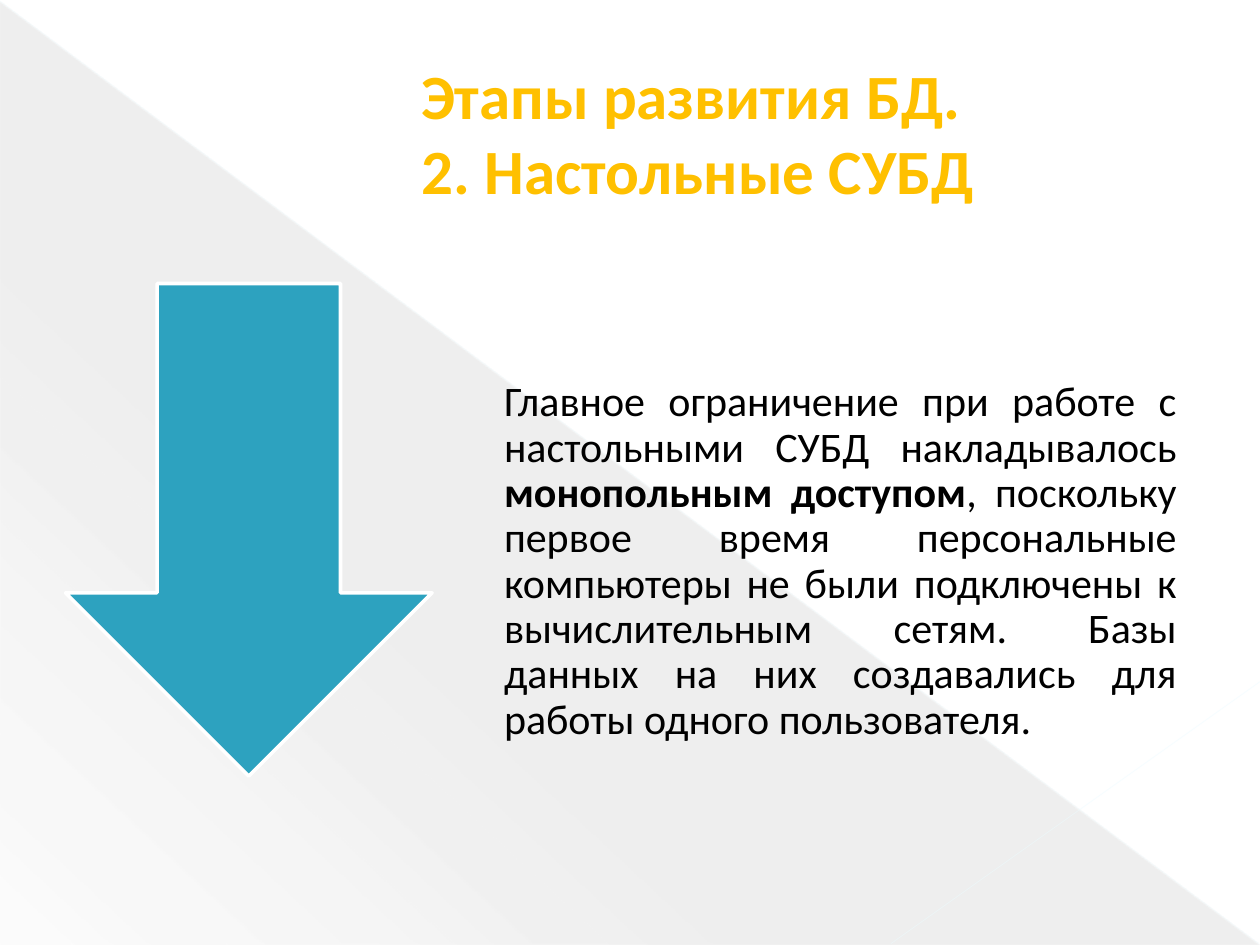
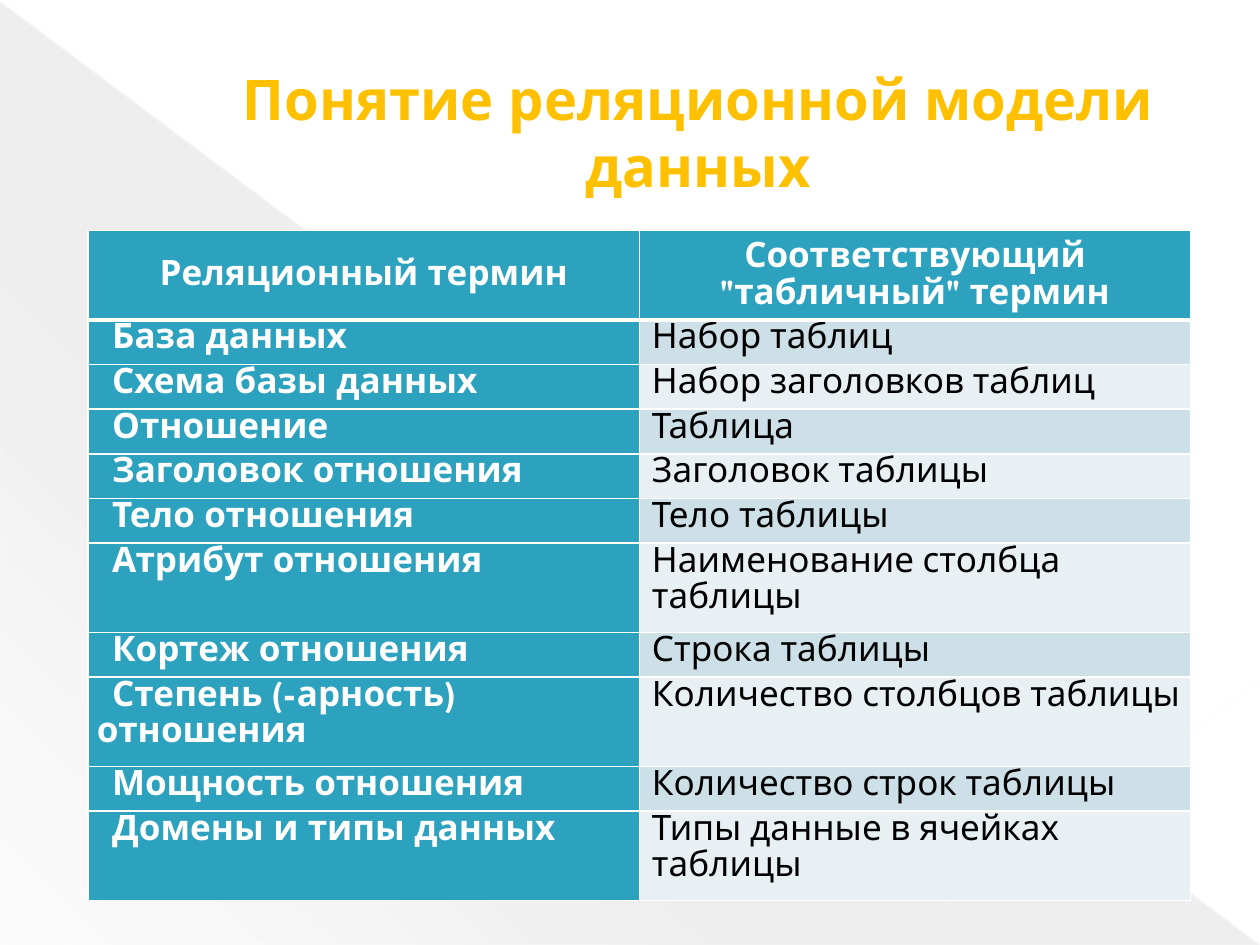
from lxml.etree import SubElement
from pptx import Presentation
from pptx.dml.color import RGBColor
from pptx.enum.shapes import MSO_CONNECTOR, MSO_SHAPE
from pptx.enum.text import MSO_ANCHOR, PP_ALIGN
from pptx.oxml import parse_xml
from pptx.oxml.ns import nsdecls, qn
from pptx.util import Emu, Inches, Pt

WIDTH, HEIGHT = 10, 7.5
GOLD = RGBColor(0xFF, 0xC0, 0x00)
TEAL = RGBColor(0x2D, 0xA2, 0xBF)
WHITE = RGBColor(0xFF, 0xFF, 0xFF)
BLACK = RGBColor(0x00, 0x00, 0x00)
BANDS = (RGBColor(0xCD, 0xE0, 0xE8), RGBColor(0xE8, 0xF0, 0xF4))
SHADE = RGBColor(0x46, 0x46, 0x46)
OUTLINE = RGBColor(0x40, 0x40, 0x40)
SHADE_STOPS = ((0, 10), (70, 8), (100, 1))
SHADE_ANGLE = 133
BACK_LINES = (
    ((0, 0.01), (9.99, 7.49), RGBColor(0xEB, 0xFB, 0xFF), 0.39, 35),
    ((10, 5.41), (7.07, 7.49), RGBColor(0xED, 0xFC, 0xFF), 0.47, 45),
)

BODY_FONT, TABLE_FONT = "Calibri", "League Spartan"
TITLE_AREA = (0.98, 0.36, 8.59, 1.37)
ARROW_AREA = (0.52, 2.25, 2.91, 3.91)
BODY_AREA = (3.81, 2.02, 5.72, 4.88)
TABLE_AREA = (0.7, 1.83, 8.75, 5.32)

STAGES_TITLE = "Этапы развития БД. \v2. Настольные СУБД"
LIMITATION = (
    ("Главное ограничение при работе с настольными СУБД накладывалось ", False),
    ("монопольным доступом", True),
    (", поскольку первое время персональные компьютеры не были подключены "
     "к вычислительным сетям. Базы данных на них создавались для работы "
     "одного пользователя.", False),
)
MODEL_TITLE = "Понятие реляционной модели данных"
TERMS = (
    ("Реляционный термин", 'Соответствующий "табличный" термин', 2),
    ("База данных", "Набор таблиц", 1),
    ("Схема базы данных", "Набор заголовков таблиц", 1),
    ("Отношение", "Таблица", 1),
    ("Заголовок отношения", "Заголовок таблицы", 1),
    ("Тело отношения", "Тело таблицы", 1),
    ("Атрибут отношения", "Наименование столбца таблицы", 2),
    ("Кортеж отношения", "Строка таблицы", 1),
    ("Степень (-арность) отношения", "Количество столбцов таблицы", 2),
    ("Мощность отношения", "Количество строк таблицы", 1),
    ("Домены и типы данных", "Типы данные в ячейках таблицы", 2),
)


def inches(values):
    return [Inches(value) for value in values]


def solid(parent, color, opacity=100):
    fill = SubElement(parent, qn("a:solidFill"))
    tint = SubElement(fill, qn("a:srgbClr"), val=str(color))
    if opacity < 100:
        SubElement(tint, qn("a:alpha"), val=str(opacity * 1000))


def write(frame, text, *, font, size, color, bold=False, align=PP_ALIGN.LEFT,
          spacing=None, left=0, first=0, outline=None):
    para = frame.paragraphs[0]
    para.alignment = align
    if spacing:
        para.line_spacing = spacing
    properties = para._p.get_or_add_pPr()
    properties.set("marL", str(Inches(left)))
    properties.set("indent", str(Inches(first)))
    parts = ((text, bold),) if isinstance(text, str) else text
    for words, strong in parts:
        for index, line in enumerate(words.split("\v")):
            if index:
                para.add_line_break()
            span = para.add_run()
            span.text = line
            span.font.name, span.font.size = font, Pt(size)
            span.font.bold = strong
            span.font.color.rgb = color
            if outline:
                edge = parse_xml(f'<a:ln {nsdecls("a")} w="{Pt(0.5)}"/>')
                solid(edge, outline)
                span._r.get_or_add_rPr().insert(0, edge)


def add_text(page, area, text, inset=None, **style):
    frame = page.shapes.add_textbox(*inches(area)).text_frame
    frame.word_wrap = True
    frame.vertical_anchor = MSO_ANCHOR.MIDDLE
    if inset:
        frame.margin_left = frame.margin_right = Inches(inset)
        frame.margin_top = frame.margin_bottom = Inches(inset)
    write(frame, text, **style)


def add_page(deck, title, font, size):
    page = deck.slides.add_slide(deck.slide_layouts[6])
    corner = page.shapes.add_shape(
        MSO_SHAPE.RIGHT_TRIANGLE, *inches((0, 0.01, WIDTH, HEIGHT - 0.01)))
    corner.shadow.inherit = False
    corner.line.fill.background()
    stops = "".join(
        f'<a:gs pos="{place * 1000}"><a:srgbClr val="{SHADE}">'
        f'<a:alpha val="{opacity * 1000}"/></a:srgbClr></a:gs>'
        for place, opacity in SHADE_STOPS)
    corner._element.spPr.find(qn("a:prstGeom")).addnext(parse_xml(
        f'<a:gradFill {nsdecls("a")} rotWithShape="1"><a:gsLst>{stops}</a:gsLst>'
        f'<a:lin ang="{SHADE_ANGLE * 60000}" scaled="0"/></a:gradFill>'))
    for start, end, color, width, opacity in BACK_LINES:
        line = page.shapes.add_connector(
            MSO_CONNECTOR.STRAIGHT, *inches(start + end))
        line.line.width = Pt(width)
        solid(line.line._get_or_add_ln(), color, opacity)
        SubElement(line._element.spPr, qn("a:effectLst"))
    add_text(page, TITLE_AREA, title, font=font, size=size, color=GOLD,
             bold=True, align=PP_ALIGN.CENTER, left=0.53, outline=OUTLINE)
    return page


def add_borders(cell, bottom):
    properties = cell._tc.get_or_add_tcPr()
    for index, side in enumerate(("lnL", "lnR", "lnT", "lnB")):
        width = bottom if side == "lnB" else 1
        edge = parse_xml(f'<a:{side} {nsdecls("a")} w="{Pt(width)}"/>')
        solid(edge, WHITE)
        properties.insert(index, edge)


def fill_cell(cell, text, row, column):
    header, term = row == 0, column == 0
    dark = header or term
    cell.fill.solid()
    cell.fill.fore_color.rgb = TEAL if dark else BANDS[(row - 1) % 2]
    cell.vertical_anchor = MSO_ANCHOR.MIDDLE if header else MSO_ANCHOR.TOP
    cell.margin_left = cell.margin_right = Inches(0.07)
    cell.margin_top = cell.margin_bottom = Emu(0)
    write(cell.text_frame, text, font=TABLE_FONT, size=20,
          color=WHITE if dark else BLACK, bold=dark, spacing=Pt(21),
          align=PP_ALIGN.CENTER if header else PP_ALIGN.LEFT,
          left=0 if dark else 0.03, first=0.12 if term and not header else 0)
    add_borders(cell, 3 if header else 1)


def add_stages(deck):
    page = add_page(deck, STAGES_TITLE, BODY_FONT, 36)
    arrow = page.shapes.add_shape(MSO_SHAPE.DOWN_ARROW, *inches(ARROW_AREA))
    arrow.shadow.inherit = False
    arrow.fill.solid()
    arrow.fill.fore_color.rgb = TEAL
    arrow.line.color.rgb = WHITE
    arrow.line.width = Pt(2)
    add_text(page, BODY_AREA, LIMITATION, font=BODY_FONT, size=24, color=BLACK,
             align=PP_ALIGN.JUSTIFY, spacing=0.9, inset=0.19)


def add_model(deck):
    page = add_page(deck, MODEL_TITLE, TABLE_FONT, 32)
    table = page.shapes.add_table(len(TERMS), 2, *inches(TABLE_AREA)).table
    width, height = TABLE_AREA[2:]
    line_height = height / sum(lines for *_, lines in TERMS)
    for column in table.columns:
        column.width = Inches(width / 2)
    for row, (term, meaning, lines) in enumerate(TERMS):
        table.rows[row].height = Inches(lines * line_height)
        for column, text in enumerate((term, meaning)):
            fill_cell(table.cell(row, column), text, row, column)


def main():
    deck = Presentation()
    deck.slide_width, deck.slide_height = Inches(WIDTH), Inches(HEIGHT)
    add_stages(deck)
    add_model(deck)
    deck.save("out.pptx")


if __name__ == "__main__":
    main()
